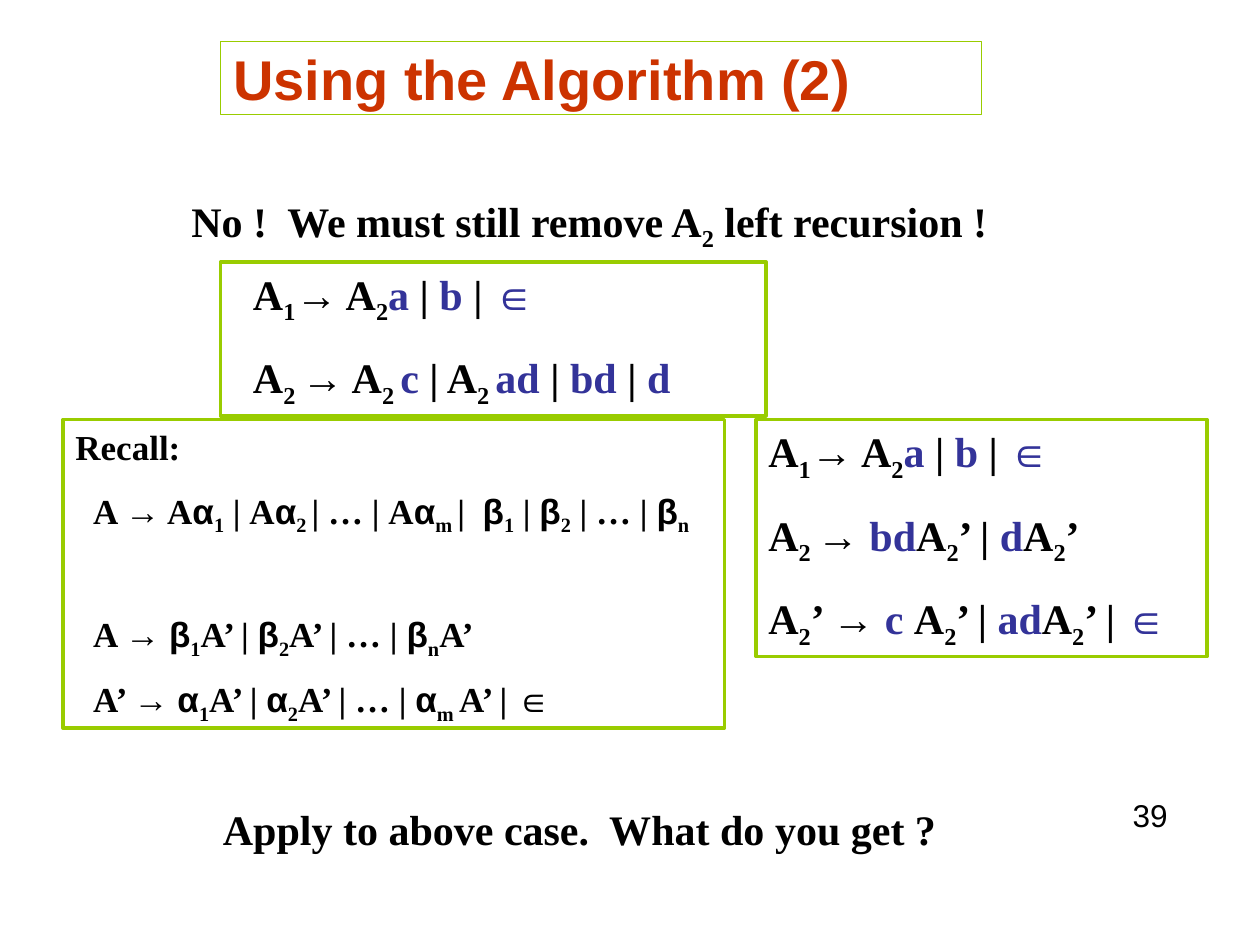
from itertools import groupby

from pptx import Presentation
from pptx.dml.color import RGBColor
from pptx.enum.shapes import MSO_SHAPE
from pptx.enum.text import MSO_ANCHOR, MSO_AUTO_SIZE, PP_ALIGN
from pptx.util import Inches, Pt

BLACK = RGBColor(0x00, 0x00, 0x00)
BLUE = RGBColor(0x33, 0x33, 0x99)
GREEN = RGBColor(0x99, 0xCC, 0x00)
RED = RGBColor(0xCC, 0x33, 0x00)
SERIF, SANS = "Times New Roman", "Arial"
SANS_SYMBOLS = "→αβ∈"

# Markup: _..._ is subscript, {...} is a blue terminal symbol.
TITLE = "Using the Algorithm (2)"
REMARKS = [
    ((1.42, 1.5, 7, 0.56), "No !  We must still remove A_2_ left recursion !"),
    ((1.67, 6.33, 6.58, 0.5), "Apply to above case.  What do you get ?"),
]
GRAMMAR = ["A_1_→ A_2_{a }|{ b }| {∈}", "A_2 _→ A_2 _{c }| A_2 _{ad }| {bd }| {d}"]
RECALL = [
    "Recall:",
    "A → Aα_1_ | Aα_2 _| … | Aα_m _|  β_1_ | β_2_ | … | β_n_",
    "A → β_1_A’ | β_2_A’ | … | β_n_A’",
    "A’ → α_1_A’ | α_2_A’ | … | α_m _A’ | ∈",
]
RESULT = [
    "A_1_→ A_2_{a }|{ b }| {∈}",
    "A_2 _→ {bd}A_2_’ | {d}A_2_’",
    "A_2_’ → {c }A_2_’ | {ad}A_2_’ | {∈}",
]
PAGE_NUMBER = "39"


def styled_runs(line):
    """Split marked-up text into (text, subscript, blue, symbol) runs."""
    letters, subscript, blue = [], False, False
    for letter in line:
        if letter == "_":
            subscript = not subscript
        elif letter in "{}":
            blue = letter == "{"
        else:
            letters.append((letter, subscript, blue, letter in SANS_SYMBOLS))
    for style, group in groupby(letters, key=lambda item: item[1:]):
        yield "".join(item[0] for item in group), *style


def write(shape, lines, size=24, font=SERIF, color=BLACK, bold=True,
          gaps=None, indents=None, spacing=1.0, anchor=MSO_ANCHOR.TOP):
    frame = shape.text_frame
    frame.word_wrap = True
    frame.auto_size = MSO_AUTO_SIZE.NONE
    frame.vertical_anchor = anchor
    for index, line in enumerate(lines):
        paragraph = frame.paragraphs[0] if index == 0 else frame.add_paragraph()
        paragraph.alignment = PP_ALIGN.LEFT
        if index:
            paragraph.space_before = Pt(gaps[index] if gaps else 15)
            paragraph.line_spacing = spacing
        if indents:
            properties = paragraph._p.get_or_add_pPr()
            properties.set("marL", str(Inches(indents[index])))
            properties.set("indent", "0")
        for text, subscript, blue, symbol in styled_runs(line):
            run = paragraph.add_run()
            run.text = text
            run.font.size = Pt(size)
            run.font.bold = bold
            run.font.name = SANS if symbol else font
            run.font.color.rgb = BLUE if blue else color
            if subscript:
                run.font._element.set("baseline", "-25000")


def outline(shape, width):
    shape.line.color.rgb = GREEN
    shape.line.width = Pt(width)


def main():
    presentation = Presentation()
    presentation.slide_width, presentation.slide_height = Inches(10), Inches(7.5)
    slide = presentation.slides.add_slide(presentation.slide_layouts[5])

    title = slide.shapes.title
    title.left, title.top, title.width, title.height = map(
        Inches, (1.75, 0.33, 6.04, 0.58))
    outline(title, 0.75)
    write(title, [TITLE], size=32, font=SANS, color=RED, anchor=MSO_ANCHOR.MIDDLE)

    def add_text(place, lines, **text_format):
        write(slide.shapes.add_textbox(*map(Inches, place)), lines, **text_format)

    def add_rules(place, lines, **text_format):
        panel = slide.shapes.add_shape(MSO_SHAPE.RECTANGLE, *map(Inches, place))
        panel.shadow.inherit = False
        panel.fill.background()
        outline(panel, 2)
        write(panel, lines, **text_format)

    for place, remark in REMARKS:
        add_text(place, [remark])
    add_rules((1.75, 2.08, 4.33, 1.22), GRAMMAR, indents=(0.16, 0.16))
    add_rules((0.5, 3.33, 5.25, 2.45), RECALL, size=20, spacing=0.9,
              gaps=(0, 12.5, 46, 12.5), indents=(0, 0.14, 0.14, 0.14))
    add_rules((6, 3.33, 3.58, 1.88), RESULT)
    add_text((8.89, 6.27, 0.67, 0.57), [PAGE_NUMBER], size=18, font=SANS, bold=False)

    presentation.save("out.pptx")


if __name__ == "__main__":
    main()
